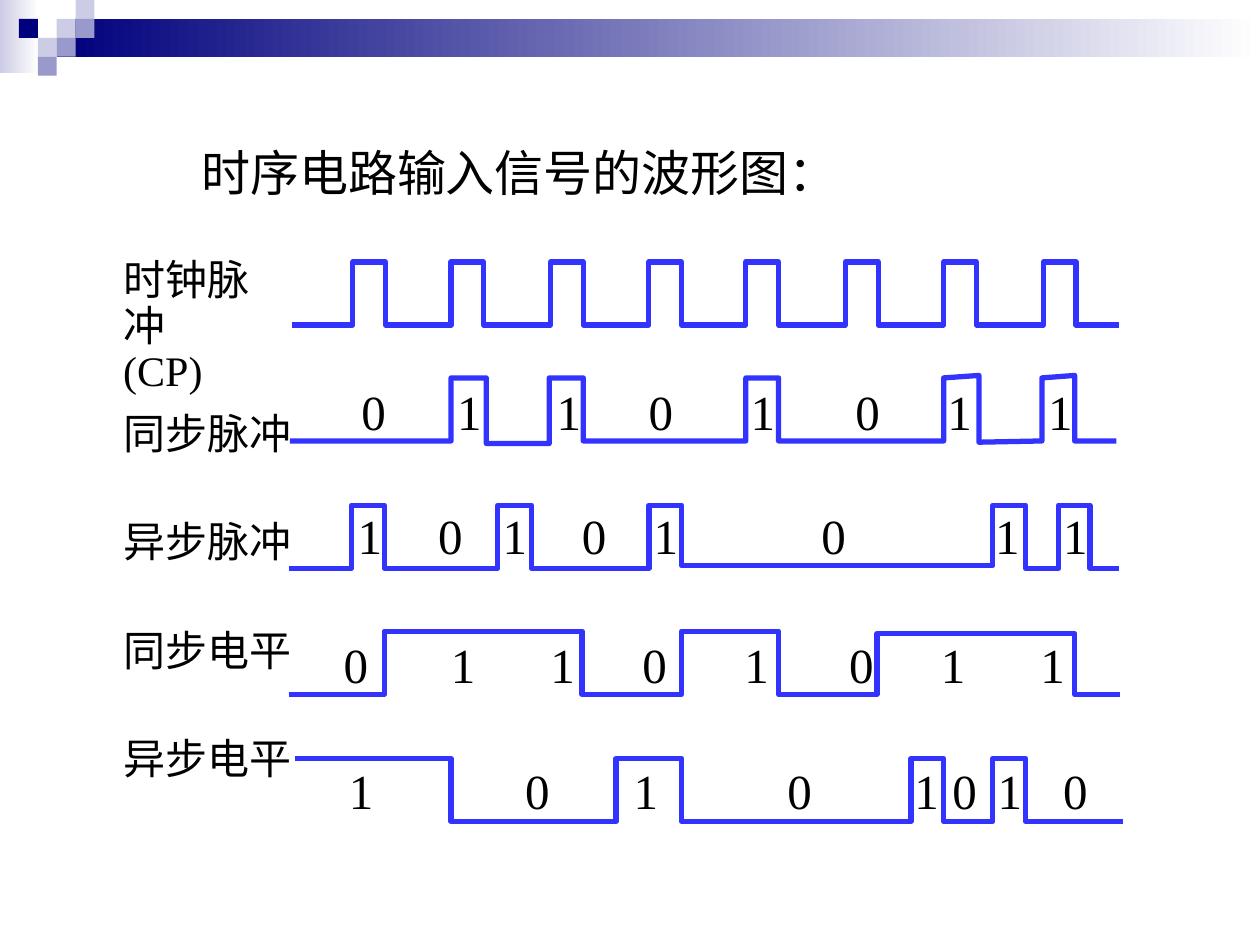
from dataclasses import dataclass, field

from pptx import Presentation
from pptx import util as u
from pptx.dml.color import RGBColor
from pptx.enum import shapes, text

SCALE = 9144  # EMU in one px, at 100 px to the inch
PAGE_WIDTH, PAGE_HEIGHT = 1000, 750
AMPLITUDE = 50


@dataclass(frozen=True)
class Theme:
    font: str = "Times New Roman"
    ink: str = "000000"
    wave: str = "3333FF"
    navy: str = "00007D"
    lilac: str = "CCCCE6"
    violet: str = "9999CC"
    white: str = "FFFFFF"
    large: int = 28
    label: int = 24
    wave_width: int = 3


@dataclass
class Signal:
    """One waveform: x of the start, of each level change and of the end.

    Digits pair a bit with its left edge; nudges shift single corners in y.
    """
    name: str
    top: int
    label_top: int
    start: int
    edges: list
    end: int
    starts_high: bool = False
    digit_top: int = 0
    digits: list = field(default_factory=list)
    nudges: dict = field(default_factory=dict)


THEME = Theme()
CLOCK_RISES = [280, 358, 437, 515, 592, 671, 749, 828]
SIGNALS = [
    Signal("时钟脉冲\v(CP)", 208, 201, 232,
           [x for rise in CLOCK_RISES for x in (rise, rise + 26)], 888),
    Signal("同步脉冲", 300, 323, 230,
           [358, 386, 436, 463, 592, 618, 749, 777, 827, 853], 886,
           digit_top=298,
           digits=[("0", 277), ("1", 353), ("1", 432), ("0", 505),
                   ("1", 586), ("0", 669), ("1", 742), ("1", 822)],
           nudges={4: 2, 5: 2, 15: -2, 16: 1, 19: -2}),
    Signal("异步脉冲", 401, 409, 229,
           [279, 305, 395, 422, 515, 541, 788, 814, 840, 865], 888,
           digit_top=396,
           digits=[("1", 274), ("0", 338), ("1", 389), ("0", 452),
                   ("1", 509), ("0", 642), ("1", 780), ("1", 834)],
           nudges={12: -2, 13: -2}),
    Signal("同步电平", 501, 495, 229, [305, 462, 541, 618, 696, 853], 889,
           digit_top=499,
           digits=[("0", 263), ("1", 348), ("1", 427), ("0", 500),
                   ("1", 581), ("0", 664), ("1", 737), ("1", 816)],
           nudges={10: 2, 11: 2}),
    Signal("异步电平", 602, 581, 234, [358, 489, 541, 723, 749, 788, 814], 891,
           starts_high=True, digit_top=599,
           digits=[("1", 267), ("0", 407), ("1", 493), ("0", 615),
                   ("1", 716), ("0", 746), ("1", 782), ("0", 834)]),
]


def px(*lengths):
    return [u.Emu(length * SCALE) for length in lengths]


def add_block(page, box, *colours):
    """Add a borderless rectangle, shaded left to right if given two colours."""
    block = page.shapes.add_shape(shapes.MSO_SHAPE.RECTANGLE, *px(*box))
    block.shadow.inherit = False
    block.line.fill.background()
    if len(colours) == 1:
        block.fill.solid()
        block.fill.fore_color.rgb = RGBColor.from_string(colours[0])
    else:
        block.fill.gradient()
        block.fill.gradient_angle = 0
        for stop, colour in zip(block.fill.gradient_stops, colours):
            stop.color.rgb = RGBColor.from_string(colour)


def add_text(page, box, words, size, spacing=None):
    frame = page.shapes.add_textbox(*px(*box)).text_frame
    frame.word_wrap = False
    frame.auto_size = text.MSO_AUTO_SIZE.SHAPE_TO_FIT_TEXT
    para = frame.paragraphs[0]
    para.text = words
    if spacing:
        para.line_spacing = spacing
    for span in para.runs:
        span.font.name = THEME.font
        span.font.size = u.Pt(size)
        span.font.color.rgb = RGBColor.from_string(THEME.ink)


def add_header(page, left, top, width):
    add_block(page, (left, top, 31, 58), THEME.lilac, THEME.white)
    add_block(page, (left + 45, top + 15, width - 45, 30), THEME.navy, THEME.white)
    tile = 15
    for column, row, colour in [
            (3, 1, THEME.lilac), (4, 0, THEME.lilac), (4, 1, THEME.violet),
            (2, 2, THEME.lilac), (1, 1, THEME.navy), (3, 2, THEME.violet),
            (2, 3, THEME.violet)]:
        add_block(page, (left + column * tile, top + row * tile, tile, tile), colour)


def wave_points(signal):
    low, high = signal.top + AMPLITUDE, signal.top
    level, other = (high, low) if signal.starts_high else (low, high)
    points = [(signal.start, level)]
    for x in signal.edges:
        points += [(x, level), (x, other)]
        level, other = other, level
    points.append((signal.end, level))
    return [(x, y + signal.nudges.get(i, 0)) for i, (x, y) in enumerate(points)]


def add_signal(page, signal, left):
    points = wave_points(signal)
    builder = page.shapes.build_freeform(*points[0], scale=SCALE)
    builder.add_line_segments(points[1:], close=False)
    wave = builder.convert_to_shape()
    wave.shadow.inherit = False
    wave.fill.background()
    wave.line.color.rgb = RGBColor.from_string(THEME.wave)
    wave.line.width = u.Pt(THEME.wave_width)

    label_height = 46 + 36 * signal.name.count("\v")
    add_text(page, (left, signal.label_top, 153, label_height),
             signal.name, THEME.label, spacing=0.9)
    for bit, x in signal.digits:
        add_text(page, (x, signal.digit_top, 40, 57), bit, THEME.large)


def main():
    deck = Presentation()
    deck.slide_width, deck.slide_height = px(PAGE_WIDTH, PAGE_HEIGHT)
    page = deck.slides.add_slide(deck.slide_layouts[6])
    add_header(page, 0, 0, PAGE_WIDTH)
    add_text(page, (150, 108, 526, 57), "时序电路输入信号的波形图：", THEME.large)
    for signal in SIGNALS:
        add_signal(page, signal, 88)
    deck.save("out.pptx")


if __name__ == "__main__":
    main()
